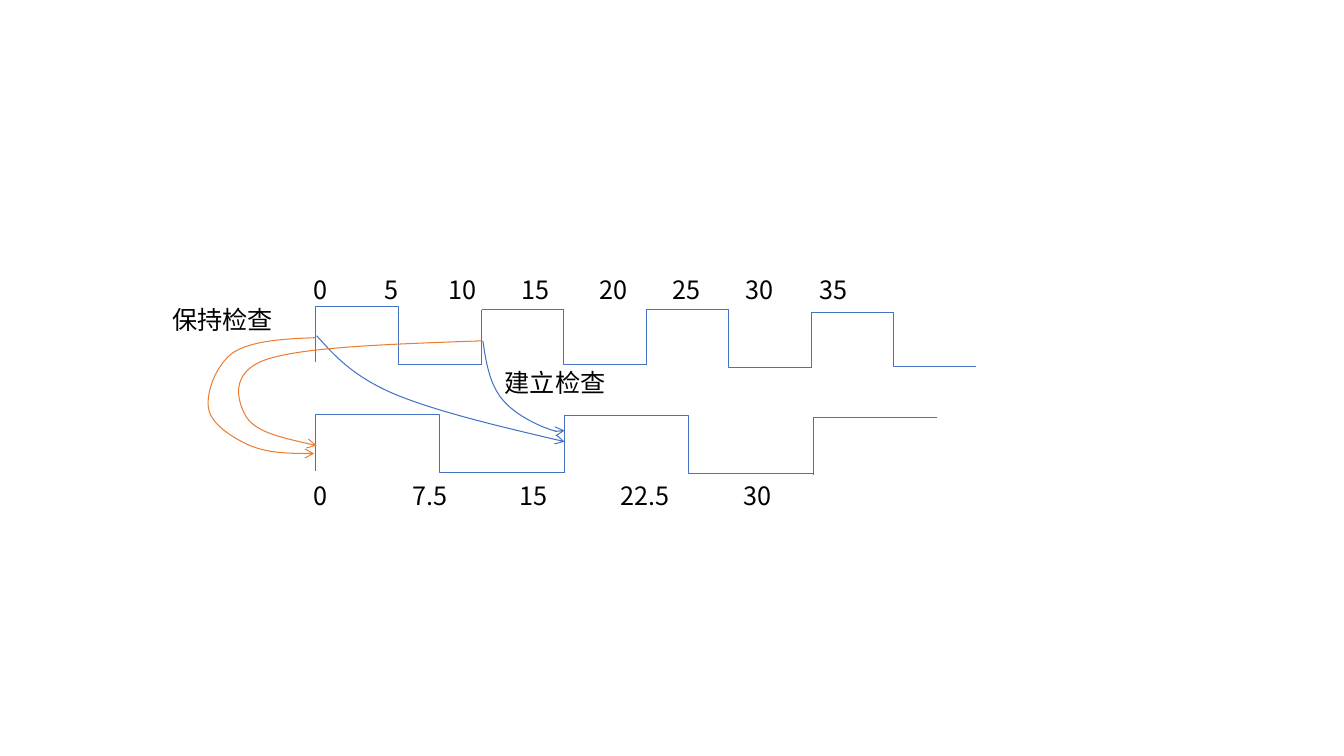
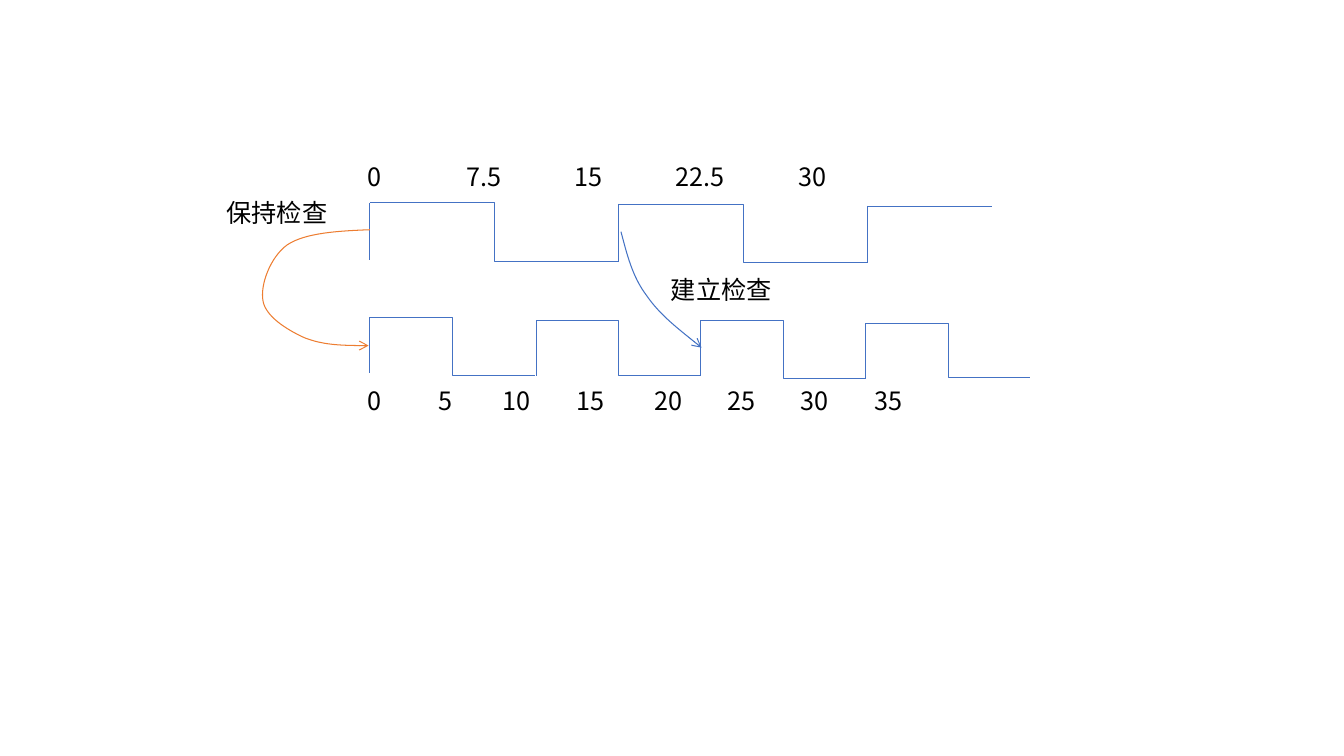
"""Build two timing diagrams of clocks with setup and hold checks."""
from collections import namedtuple
from lxml.etree import SubElement as Sub
from pptx import Presentation
from pptx.dml.color import RGBColor
from pptx.enum.shapes import MSO_CONNECTOR as Link
from pptx.enum.text import MSO_AUTO_SIZE as Fit
from pptx.oxml.ns import qn
from pptx.util import Cm, Pt

BLUE = RGBColor(0x44, 0x72, 0xC4)
ORANGE = RGBColor(0xED, 0x7D, 0x31)
BLACK = RGBColor(0, 0, 0)
FONT = "Noto Sans CJK SC"

Clock = namedtuple("Clock", "pulses rise last tail times tabs width")
FAST = Clock(
    pulses=[(0, 0, 4.17, 1.45), (4.19, 0.08, 4.14, 1.37),
            (8.33, 0.08, 4.17, 1.45), (12.5, 0.15, 4.14, 1.37)],
    rise=1.4, last=None, tail=0,
    times=["0", "5", "10", "15", "20", "25", "30", "35"],
    tabs=[1.79, 3.4, 5.25, 7.22, 9.06, 10.9, 12.76], width=15.67)
SLOW = Clock(
    pulses=[(0, 0, 6.27, 1.47), (6.27, 0.03, 6.27, 1.47)],
    rise=1.44, last=(12.55, 0.08), tail=3.12,
    times=["0", "7.5", "15", "22.5", "30"],
    tabs=[2.49, 5.2, 7.75, 10.85], width=13.56)

HOLD = [(-0.81, 0.03), (-1.63, 0.08), (-2.08, 0.38),
        (-2.51, 0.69), (-2.77, 1.4), (-2.69, 1.8),
        (-2.62, 2.18), (-2.11, 2.51), (-1.65, 2.72),
        (-1.19, 2.9), (-0.61, 2.92), (-0.03, 2.92)]
HOLD_FAR = [(-2.21, 0.08), (-4.42, 0.15), (-5.38, 0.46),
            (-6.38, 0.79), (-6.12, 1.55), (-5.92, 1.9),
            (-5.69, 2.29), (-4.93, 2.46), (-4.14, 2.64)]
SETUP_FAR = [(0.46, 0.51), (0.91, 1.02), (1.96, 1.47),
             (3, 1.9), (4.62, 2.29), (6.25, 2.67)]
SETUP_NEAR = [(0.08, 0.56), (0.18, 1.14), (0.53, 1.52),
              (0.86, 1.9), (2.03, 2.46), (2.06, 2.26)]
SETUP = [(0.15, 0.56), (0.28, 1.12), (0.64, 1.6),
         (0.97, 2.08), (1.5, 2.49), (2.03, 2.92)]


class Deck:
    """Holds the style and the current slide."""

    def __init__(self):
        self.show = Presentation()
        self.show.slide_width, self.show.slide_height = Cm(33.87), Cm(19.05)

    def page(self):
        """Start a blank slide."""
        self.slide = self.show.slides.add_slide(self.show.slide_layouts[6])

    def line(self, x, y, dx, dy, kind=Link.STRAIGHT):
        """Draw a thin signal line."""
        link = self.slide.shapes.add_connector(
            kind, Cm(x), Cm(y), Cm(x + dx), Cm(y + dy))
        link.line.color.rgb = BLUE
        link.line.width = Pt(0.5)
        Sub(link.element.spPr, qn("a:effectLst"))

    def text(self, x, y, width, words, tabs=()):
        """Write one line, with optional tab stops."""
        box = self.slide.shapes.add_textbox(Cm(x), Cm(y), Cm(width), Cm(1.02))
        frame = box.text_frame
        frame.word_wrap = True
        frame.auto_size = Fit.SHAPE_TO_FIT_TEXT
        frame.text = words
        para = frame.paragraphs[0]
        if tabs:
            stops = Sub(para._p.get_or_add_pPr(), qn("a:tabLst"))
            for stop in tabs:
                Sub(stops, qn("a:tab"), pos=str(Cm(stop)), algn="l")
        for run in para.runs:
            font = run.font
            font.size, font.name = Pt(18), FONT
            font.color.rgb = BLACK
            Sub(run._r.get_or_add_rPr(), qn("a:ea"), typeface=FONT)

    def clock(self, x, y, clock, label):
        """Draw a clock signal and its row of times."""
        for dx, dy, width, drop in clock.pulses:
            self.line(x + dx, y + dy, 0, clock.rise)
            self.line(x + dx, y + dy, width, drop, Link.ELBOW)
        if clock.last:
            dx, dy = clock.last
            self.line(x + dx, y + dy, 0, clock.rise)
            self.line(x + dx, y + dy, clock.tail, 0)
        self.text(x - 0.3, label, clock.width, "\t".join(clock.times),
                  clock.tabs)

    def curve(self, x, y, steps, color):
        """Draw a curved arrow; each three steps make one Bezier arc."""
        pen = self.slide.shapes.build_freeform(Cm(x), Cm(y))
        pen.add_line_segments(
            [(Cm(x + dx), Cm(y + dy)) for dx, dy in steps], close=False)
        shape = pen.convert_to_shape()
        shape.shadow.inherit = False
        shape.fill.background()
        shape.line.color.rgb = color
        shape.line.width = Pt(0.75)
        props = shape.element.spPr
        Sub(props.find(qn("a:ln")), qn("a:tailEnd"), type="arrow")
        route = next(props.iter(qn("a:path")))
        legs = route.findall(qn("a:lnTo"))
        for i in range(0, len(legs), 3):
            arc = Sub(route, qn("a:cubicBezTo"))
            for leg in legs[i:i + 3]:
                arc.append(leg[0])
                route.remove(leg)

    def notes(self, hold, setup):
        """Name the hold and setup checks."""
        for (x, y), words in ((hold, "保持检查"), (setup, "建立检查")):
            self.text(x, y, 3.07, words)


deck = Deck()

deck.page()
deck.clock(7.95, 7.72, FAST, label=6.78)
deck.clock(7.95, 10.44, SLOW, label=11.99)
deck.curve(7.98, 8.46, SETUP_FAR, BLUE)
deck.curve(12.17, 8.59, SETUP_NEAR, BLUE)
deck.curve(7.95, 8.51, HOLD, ORANGE)
deck.curve(12.12, 8.59, HOLD_FAR, ORANGE)
deck.notes(hold=(4.09, 7.54), setup=(12.47, 9.14))

deck.page()
deck.clock(9.32, 5.11, SLOW, label=3.94)
deck.clock(9.32, 8, FAST, label=9.58)
deck.curve(15.65, 5.84, SETUP, BLUE)
deck.curve(9.32, 5.79, HOLD, ORANGE)
deck.notes(hold=(5.46, 4.85), setup=(16.66, 6.78))

deck.show.save("out.pptx")
